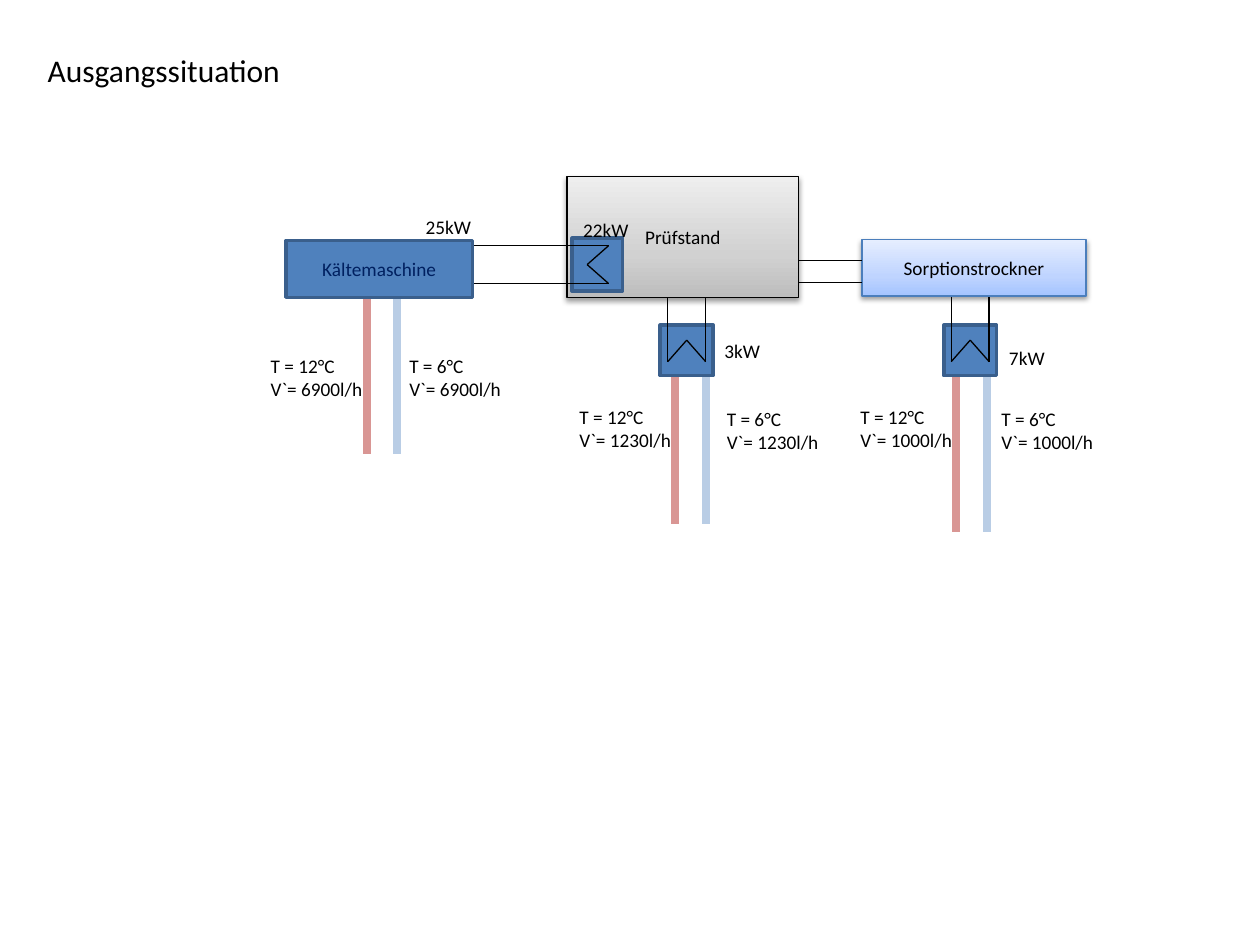
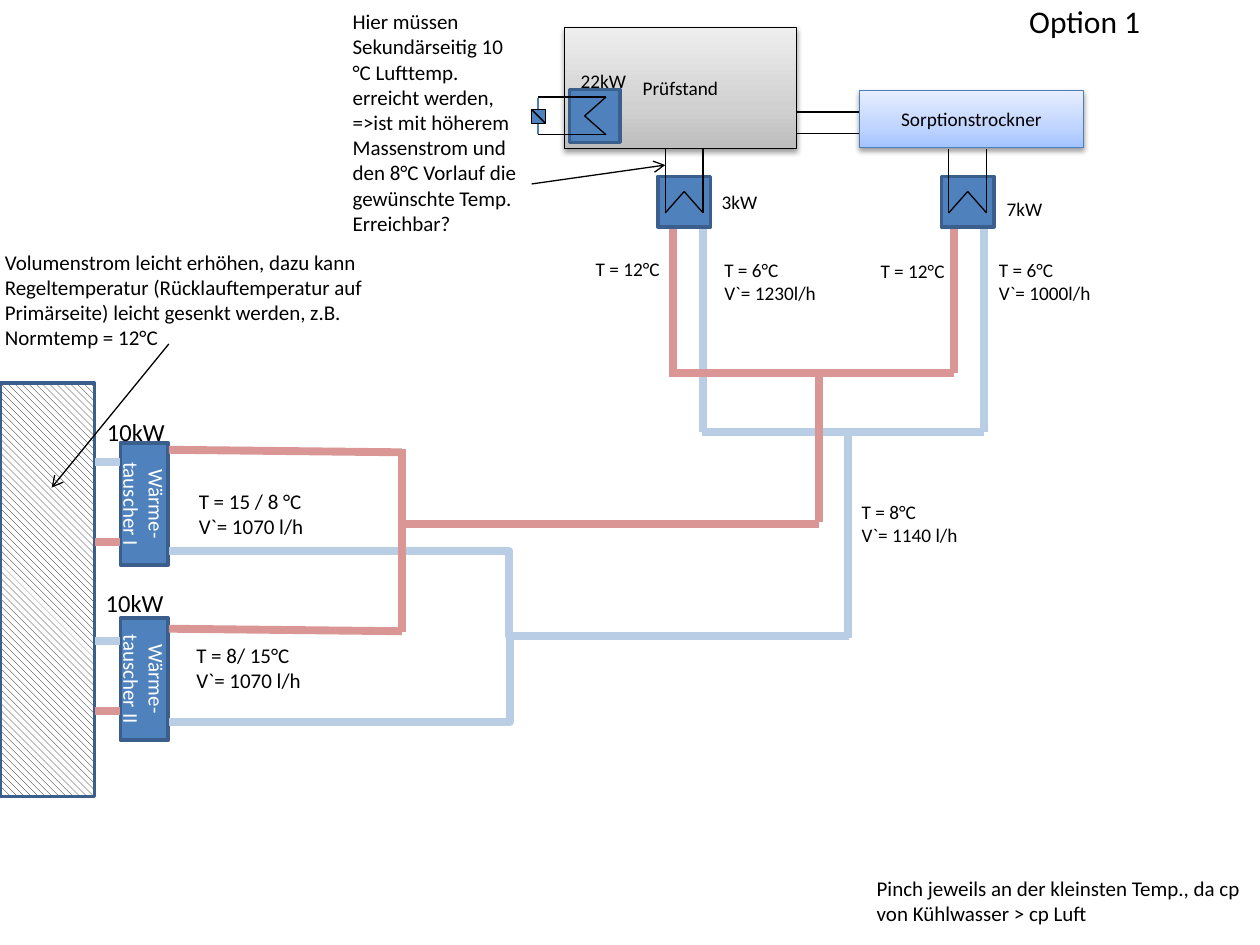
from copy import deepcopy
from dataclasses import dataclass

from lxml.etree import SubElement
from pptx import Presentation
from pptx.dml.color import RGBColor
from pptx.enum.dml import MSO_PATTERN
from pptx.enum.shapes import MSO_CONNECTOR, MSO_SHAPE
from pptx.enum.text import MSO_ANCHOR, MSO_AUTO_SIZE, PP_ALIGN
from pptx.oxml.ns import qn
from pptx.util import Inches, Pt


@dataclass(frozen=True)
class Theme:
    font: str = "Calibri"
    small: int = 11
    note: int = 12
    power: int = 14
    title: int = 18
    black: str = "000000"
    white: str = "FFFFFF"
    navy: str = "002060"
    blue: str = "4F81BD"
    edge: str = "3A5F8C"
    rim: str = "4B7EBC"
    hot: str = "D99694"
    cold: str = "B9CDE5"
    gray: tuple = ("BDBDBD", "D1D1D1", "EEEEEE")
    sky: tuple = ("A4C4FF", "BFD4FF", "E6EEFF")
    thin: float = 0.75
    frame: float = 2
    pipe: float = 4.5


T = Theme()


def rgb(code):
    return RGBColor.from_string(code)


# Text
def write(frame, text, size=T.small, color=T.black, align=PP_ALIGN.LEFT, wrap=True):
    frame.word_wrap = wrap
    for i, row in enumerate(text.split("\n")):
        para = frame.paragraphs[0] if i == 0 else frame.add_paragraph()
        para.alignment = align
        run = para.add_run()
        run.text = row
        run.font.name = T.font
        run.font.size = Pt(size)
        run.font.color.rgb = rgb(color)


def label(slide, x, y, w, h, text, **style):
    item = slide.shapes.add_textbox(Inches(x), Inches(y), Inches(w), Inches(h))
    write(item.text_frame, text, **style)
    item.text_frame.auto_size = MSO_AUTO_SIZE.SHAPE_TO_FIT_TEXT


def power(slide, x, y, text):
    label(slide, x, y, 0.56, 0.29, text, wrap=False)


def flow(slide, x, y, temp, rate):
    label(slide, x, y, 1, 0.47, f"T = {temp}°C\nV`= {rate}l/h")


# Boxes
def box(slide, x, y, w, h, text="", fill=T.blue, edge=T.edge, width=T.frame,
        turn=0, **style):
    item = slide.shapes.add_shape(
        MSO_SHAPE.RECTANGLE, Inches(x), Inches(y), Inches(w), Inches(h))
    item.shadow.inherit = False
    item.rotation = turn
    item.fill.solid()
    item.fill.fore_color.rgb = rgb(fill)
    item.line.color.rgb = rgb(edge)
    item.line.width = Pt(width)
    if text:
        item.text_frame.vertical_anchor = MSO_ANCHOR.MIDDLE
        write(item.text_frame, text, align=PP_ALIGN.CENTER, **style)
    return item


def shade(item, tones):
    """Give a box an upward three-tone gradient and a soft shadow."""
    item.fill.gradient()
    item.fill.gradient_angle = 90
    props = item._element.spPr
    stops = props.find(".//" + qn("a:gsLst"))
    stops.insert(1, deepcopy(stops[0]))
    for stop, tone, place in zip(item.fill.gradient_stops, tones, (0, 0.35, 1)):
        stop.color.rgb = rgb(tone)
        stop.position = place
    cast = SubElement(props.find(qn("a:effectLst")), qn("a:outerShdw"),
                      blurRad=str(Pt(3.1)), dist=str(Pt(1.6)),
                      dir="5400000", rotWithShape="0")
    tint = SubElement(cast, qn("a:srgbClr"), val=T.black)
    SubElement(tint, qn("a:alpha"), val="38000")


# Lines
def line(slide, start, end, color=T.black, width=T.thin, arrow=False,
         kind=MSO_CONNECTOR.STRAIGHT, bend=None):
    item = slide.shapes.add_connector(
        kind, *[Inches(v) for v in (*start, *end)])
    item.line.color.rgb = rgb(color)
    item.line.width = Pt(width)
    props = item._element.spPr
    if arrow:
        SubElement(props.find(qn("a:ln")), qn("a:tailEnd"), type="arrow")
    if bend is not None:
        SubElement(props.find(".//" + qn("a:avLst")), qn("a:gd"),
                   name="adj1", fmla=f"val {bend}")
    SubElement(props, qn("a:effectLst"))


def pipe(slide, start, end, color, **style):
    line(slide, start, end, color, T.pipe, **style)


def pair(slide, x, top, hot, cold):
    """Return and supply pipe side by side, each with its lower end."""
    pipe(slide, (x + 0.24, top), (x + 0.24, cold), T.cold)
    pipe(slide, (x, top), (x, hot), T.hot)


# Heat exchanger with its zigzag, about its centre
def coil(slide, x, y, turn=180, stub=0.42):
    box(slide, x - 0.21, y - 0.2, 0.42, 0.4, turn=turn)

    def spot(a, b):
        return (x + b, y - a) if turn == 90 else (x + a, y + b)

    for side in (0.15, -0.15):
        line(slide, spot(side, 0.09), spot(side, -stub))
        line(slide, spot(side, 0.09), spot(0, -0.08))


# Test rig and dryer, found on both slides
def rig(slide, dx=0, dy=0):
    bench = box(slide, 4.5 + dx, 1.4 + dy, 1.84, 0.96, "Prüfstand",
                edge=T.black, width=T.thin)
    shade(bench, T.gray)
    dryer = box(slide, 6.84 + dx, 1.9 + dy, 1.78, 0.45, "Sorptionstrockner",
                edge=T.rim, width=T.thin)
    shade(dryer, T.sky)
    for y in (2.07, 2.24):
        line(slide, (6.34 + dx, y + dy), (6.84 + dx, y + dy))
    coil(slide, 4.74 + dx, 2.1 + dy, turn=90, stub=0.45)
    for x in (5.45, 7.7):
        coil(slide, x + dx, 2.78 + dy)
    for x, y, text in ((5.65, 2.64, "3kW"), (7.91, 2.7, "7kW"), (4.53, 1.68, "22kW")):
        power(slide, x + dx, y + dy, text)
    flow(slide, 5.67 + dx, 3.18 + dy, 6, 1230)
    flow(slide, 7.85 + dx, 3.18 + dy, 6, 1000)


def start(deck):
    slide = deck.slides.add_slide(deck.slide_layouts[6])
    # Starting state: chiller, rig and dryer
    for x, top in ((2.91, 2.36), (5.36, 2.92), (7.59, 2.98)):
        pair(slide, x, top, top + 1.24, top + 1.24)
    box(slide, 2.27, 1.91, 1.48, 0.45, "Kältemaschine", color=T.navy)
    rig(slide)
    for y in (1.95, 2.25):
        line(slide, (4.29, y), (3.76, y))
    flow(slide, 3.15, 2.76, 6, 6900)
    for x, y, rate in ((2.05, 2.76, 6900), (4.5, 3.17, 1230), (6.73, 3.17, 1000)):
        flow(slide, x, y, 12, rate)
    power(slide, 3.28, 1.66, "25kW")
    label(slide, 0.28, 0.36, 3.29, 0.4, "Ausgangssituation", size=T.title)


def option(deck):
    slide = deck.slides.add_slide(deck.slide_layouts[6])
    # Rig with its pipes
    pair(slide, 5.34, 1.74, 2.99, 3.43)
    pair(slide, 7.57, 1.8, 2.96, 3.43)
    rig(slide, -0.02, -1.18)
    for x, y in ((4.63, 1.99), (6.89, 2.01)):
        label(slide, x, y, 1, 0.29, "T = 12°C")
    label(slide, 6.74, 3.92, 1.46, 0.47, "T = 8°C\nV`= 1140 l/h")

    # Valve in the loop left of the rig
    line(slide, (4.27, 0.78), (4.27, 1.06), T.rim)
    box(slide, 4.22, 0.87, 0.11, 0.11, edge=T.black, width=T.thin)
    line(slide, (4.22, 0.87), (4.33, 0.98))

    # Collecting pipes
    pipe(slide, (7.57, 2.96), (5.34, 2.96), T.hot)
    pipe(slide, (7.81, 3.43), (5.57, 3.43), T.cold)
    pipe(slide, (6.73, 3.44), (6.73, 5.06), T.cold)
    pipe(slide, (6.5, 2.98), (6.5, 4.14), T.hot)

    # Store and the two heat exchangers
    store = box(slide, 0, 3.04, 0.75, 3.28)
    store.fill.patterned()
    store.fill.pattern = MSO_PATTERN.WIDE_DOWNWARD_DIAGONAL
    store.fill.fore_color.rgb = rgb(T.black)
    store.fill.back_color.rgb = rgb(T.white)
    for y, name in ((5.2, "II"), (3.81, "I")):
        box(slide, 0.66, y, 0.97, 0.38, f"Wärme-tauscher {name}",
            turn=90, size=T.note, color=T.white)
    for y, color in ((4.3, T.hot), (5.64, T.hot), (3.67, T.cold), (5.09, T.cold)):
        pipe(slide, (0.95, y), (0.75, y), color)
    for x, y in ((0.75, 3.26), (0.74, 4.62)):
        label(slide, x, y, 0.72, 0.34, "10kW", size=T.power, wrap=False)
    for x, y, temp in ((1.46, 5.05, "8/ 15°C"), (1.48, 3.83, "15 / 8 °C")):
        label(slide, x, y, 1.16, 0.5, f"T = {temp}\nV`= 1070 l/h", size=T.note)

    # Pipes from the exchangers to the collectors
    elbow = MSO_CONNECTOR.ELBOW
    pipe(slide, (6.74, 5.05), (1.34, 4.37), T.cold, kind=elbow)
    pipe(slide, (4.04, 5.06), (1.34, 5.73), T.cold, kind=elbow, bend=-200)
    pipe(slide, (6.5, 4.16), (3.19, 4.16), T.hot)
    pipe(slide, (3.19, 3.56), (3.19, 5.02), T.hot)
    for y in (3.59, 5.01):
        pipe(slide, (3.19, y), (1.34, y - 0.02), T.hot)

    # Remarks with arrows
    notes = (
        (-0.06, 1.93, 3.07, 0.91,
         "Volumenstrom leicht erhöhen, dazu kann Regeltemperatur "
         "(Rücklauftemperatur auf Primärseite) leicht gesenkt werden, "
         "z.B. Normtemp = 12°C"),
        (2.7, 0.02, 1.52, 1.92,
         "Hier müssen Sekundärseitig 10 °C Lufttemp. erreicht werden, "
         "=>ist mit höherem Massenstrom und den 8°C Vorlauf die "
         "gewünschte Temp. Erreichbar?"),
        (6.86, 6.9, 3.17, 0.5,
         "Pinch jeweils an der kleinsten Temp., da cp von Kühlwasser > cp Luft"),
    )
    for *place, text in notes:
        label(slide, *place, text, size=T.note)
    line(slide, (1.34, 2.73), (0.41, 3.87), arrow=True)
    line(slide, (4.22, 1.46), (5.28, 1.31), arrow=True)
    label(slide, 8.07, -0.03, 1.93, 0.4, "Option 1", size=T.title)


def main():
    deck = Presentation()
    deck.slide_width = Inches(10)
    deck.slide_height = Inches(7.5)
    start(deck)
    option(deck)
    deck.save("out.pptx")


main()
